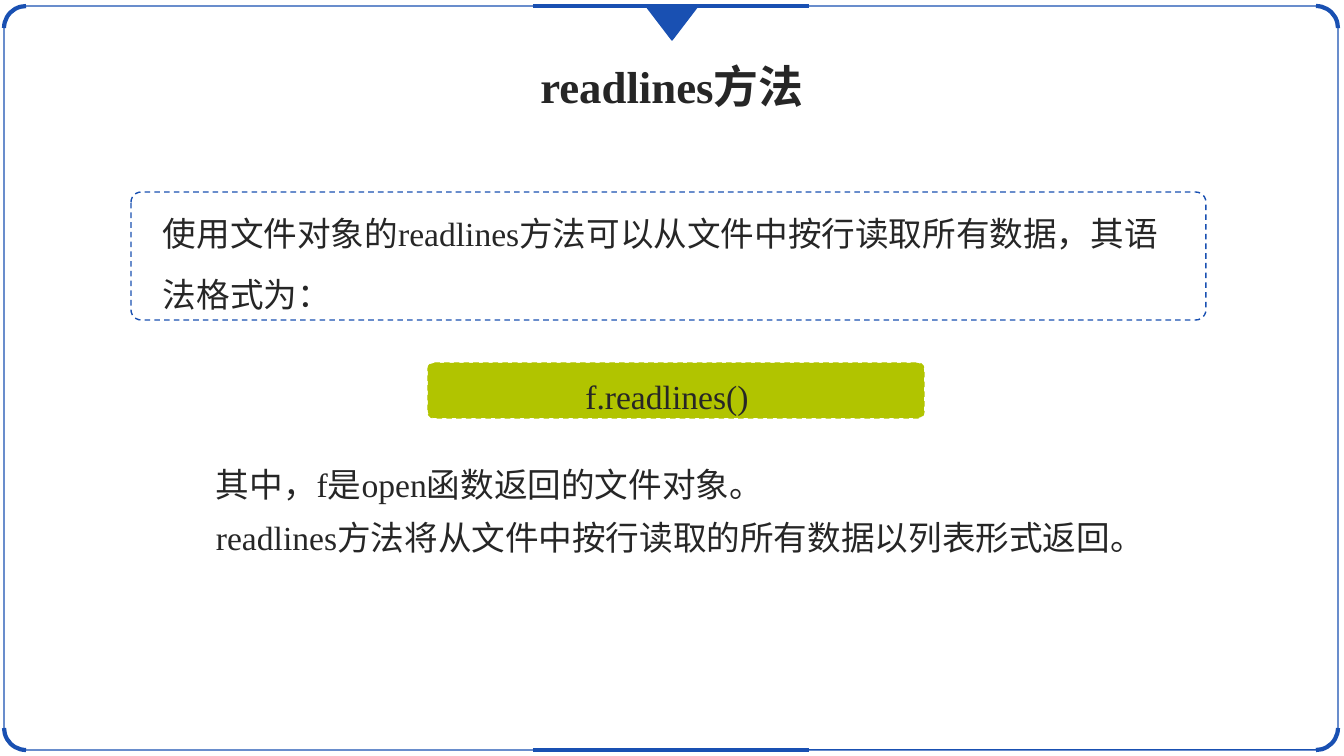
from lxml.etree import SubElement
from pptx import Presentation
from pptx.dml.color import RGBColor
from pptx.enum.dml import MSO_LINE
from pptx.enum.shapes import MSO_CONNECTOR, MSO_SHAPE
from pptx.enum.text import MSO_ANCHOR, MSO_AUTO_SIZE, PP_ALIGN
from pptx.oxml.ns import qn
from pptx.util import Pt

EMU_PER_PX = 914400 / 100.8
WIDTH, HEIGHT = 1344, 756
BLUE = RGBColor(0x19, 0x50, 0xB2)
GREEN = RGBColor(0xB1, 0xC4, 0x00)
INK = RGBColor(0x26, 0x26, 0x26)
TITLE_ONLY = 5


def px(*lengths):
    return [round(length * EMU_PER_PX) for length in lengths]


class SlideBuilder:
    font_name = "Times New Roman"

    def __init__(self, slide):
        self.slide = slide

    def shape(self, kind, bounds, line=BLUE, weight=1, fill=None,
              adjust=None, rotation=0, dashed=False):
        shape = self.slide.shapes.add_shape(kind, *px(*bounds))
        shape.shadow.inherit = False
        shape.rotation = rotation
        if adjust is not None:
            shape.adjustments[0] = adjust
        if fill is None:
            shape.fill.background()
        else:
            shape.fill.solid()
            shape.fill.fore_color.rgb = fill
        shape.line.color.rgb = line
        shape.line.width = Pt(weight)
        if dashed:
            shape.line.dash_style = MSO_LINE.DASH

    def rule(self, left, right, y):
        rule = self.slide.shapes.add_connector(
            MSO_CONNECTOR.STRAIGHT, *px(left, y, right, y))
        rule.line.color.rgb = BLUE
        rule.line.width = Pt(3)
        SubElement(rule._element.spPr, qn("a:effectLst"))

    def title(self, text, bounds):
        title = self.slide.shapes.title
        title.left, title.top, title.width, title.height = px(*bounds)
        self.fill_text(title.text_frame, [text], 32, 1, PP_ALIGN.CENTER, True)

    def text(self, lines, bounds, spacing, align=PP_ALIGN.LEFT):
        box = self.slide.shapes.add_textbox(*px(*bounds))
        self.fill_text(box.text_frame, lines, 24, spacing, align)

    def fill_text(self, frame, lines, size, spacing, align, bold=False):
        frame.text = "\n".join(lines)
        frame.word_wrap = True
        frame.auto_size = MSO_AUTO_SIZE.NONE
        frame.vertical_anchor = MSO_ANCHOR.TOP
        for para in frame.paragraphs:
            para.alignment = align
            para.line_spacing = float(spacing)
            for span in para.runs:
                span.font.name = self.font_name
                span.font.size = Pt(size)
                span.font.bold = bold
                span.font.color.rgb = INK


def draw_border(builder):
    left, top, right, bottom = 4, 6, 1338, 750
    corner = 44
    builder.shape(MSO_SHAPE.ROUNDED_RECTANGLE,
                  (left, top, right - left, bottom - top), adjust=0.03)
    # Clockwise from the top right, a quarter turn each
    corners = [(right - corner, top), (right - corner, bottom - corner),
               (left, bottom - corner), (left, top)]
    for turn, (x, y) in enumerate(corners):
        builder.shape(MSO_SHAPE.ARC, (x, y, corner, corner), weight=3,
                      rotation=90 * turn)
    for y in (top, bottom):
        builder.rule(533, 809, y)
    builder.shape(MSO_SHAPE.ISOSCELES_TRIANGLE, (646, top, 52, 34),
                  fill=BLUE, rotation=180)


def main():
    deck = Presentation()
    deck.slide_width, deck.slide_height = px(WIDTH, HEIGHT)
    page = deck.slides.add_slide(deck.slide_layouts[TITLE_ONLY])
    builder = SlideBuilder(page)

    draw_border(builder)
    builder.title("readlines方法", (529, 54, 286, 65))
    builder.text(["使用文件对象的readlines方法可以从文件中按行读取所有数据，其语法格式为："],
                 (153, 188, 1044, 186), 1.5)
    builder.shape(MSO_SHAPE.ROUNDED_RECTANGLE, (131, 192, 1075, 128),
                  adjust=0.08, dashed=True)
    builder.shape(MSO_SHAPE.ROUNDED_RECTANGLE, (428, 363, 496, 55),
                  line=GREEN, fill=GREEN, adjust=0.11, dashed=True)
    builder.text(["f.readlines()"], (419, 351, 496, 64), 1.5, PP_ALIGN.CENTER)
    builder.text(["其中，f是open函数返回的文件对象。",
                  "readlines方法将从文件中按行读取的所有数据以列表形式返回。"],
                 (206, 447, 940, 111), 1.3)
    deck.save("out.pptx")


if __name__ == "__main__":
    main()
